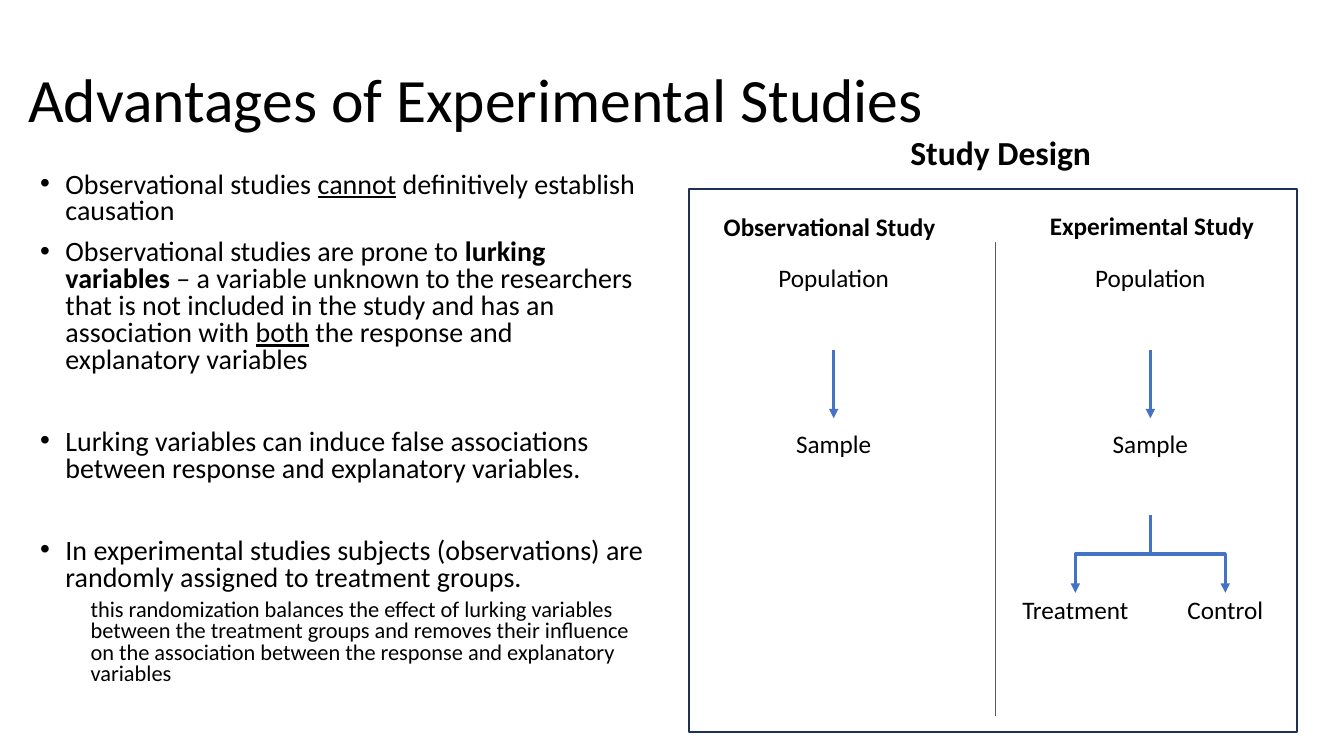
from dataclasses import dataclass

from lxml import etree
from pptx import Presentation
from pptx.dml.color import RGBColor
from pptx.enum.shapes import MSO_CONNECTOR, MSO_SHAPE
from pptx.enum.text import MSO_ANCHOR, MSO_AUTO_SIZE, PP_ALIGN
from pptx.oxml.ns import qn
from pptx.util import Cm, Pt

STRAIGHT, ELBOW = MSO_CONNECTOR.STRAIGHT, MSO_CONNECTOR.ELBOW
RECTANGLE = MSO_SHAPE.RECTANGLE
MIDDLE, NO_AUTOFIT = MSO_ANCHOR.MIDDLE, MSO_AUTO_SIZE.NONE
LEFT, CENTER = PP_ALIGN.LEFT, PP_ALIGN.CENTER


@dataclass(frozen=True)
class Theme:
    font: str = "Calibri"
    ink: RGBColor = RGBColor(0x00, 0x00, 0x00)
    accent: RGBColor = RGBColor(0x44, 0x72, 0xC4)
    divider: RGBColor = RGBColor(0x59, 0x59, 0x59)
    frame: RGBColor = RGBColor(0x1E, 0x32, 0x56)
    title: int = 44
    diagram_title: int = 24
    body: int = 20
    label: int = 18
    detail: int = 16


THEME = Theme()

# Content
TITLE = "Advantages of Experimental Studies"
PLAIN, BOLD, UNDERLINE = {}, {"bold": True}, {"underline": True}
# (level, space before in points, runs)
POINTS = [
    (0, 0, [("Observational studies ", PLAIN), ("cannot", UNDERLINE),
            (" definitively establish causation", PLAIN)]),
    (0, 10, [("Observational studies are prone to ", PLAIN), ("lurking variables", BOLD),
             (" – a variable unknown to the researchers that is not included in the study"
              " and has an association with ", PLAIN),
             ("both", UNDERLINE), (" the response and explanatory variables", PLAIN)]),
    (0, 39.5, [("Lurking variables can induce false associations between response and "
                "explanatory variables.", PLAIN)]),
    (0, 39.5, [("In experimental studies subjects (observations) are randomly assigned to "
                "treatment groups.", PLAIN)]),
    (1, 5, [("this randomization balances the effect of lurking variables between the "
             "treatment groups and removes their influence on the association between the "
             "response and explanatory variables", PLAIN)]),
]
DIAGRAM_TITLE = "Study Design"
# (heading, heading centre, heading top, column centre, groups), lengths in cm
STUDIES = [
    ("Observational Study", 20.91, 5.21, 21.01, []),
    ("Experimental Study", 29.03, 5.18, 28.99, ["Treatment", "Control"]),
]
STAGES = ["Population", "Sample"]

# Layout in cm
SLIDE = (33.87, 19.05)
TITLE_BOX = (0.46, 0.74, 29.21, 3.68)
BODY_BOX = (0.76, 4.22, 15.82, 14.45)
FRAME = (17.36, 4.77, 15.32, 13.67)
DIVIDER_X, DIVIDER_TOP, DIVIDER_BOTTOM = 25.08, 6.1, 18.03
HEADING_WIDTH, STAGE_WIDTH = 6.4, 3.33
STAGE_TOP, STAGE_STEP = 6.48, 4.19
ARROW_TOP, ARROW_LENGTH = 8.81, 1.73
FORK_TOP, FORK_HEIGHT, FORK_REACH = 12.98, 1.96, 1.89
INDENT = 0.635


def write(paragraph, text, size=THEME.label, bold=False, underline=False):
    run = paragraph.add_run()
    run.text = text
    font = run.font
    font.name, font.size, font.bold, font.underline = THEME.font, Pt(size), bold, underline
    font.color.rgb = THEME.ink


def place(shape, box):
    shape.left, shape.top, shape.width, shape.height = map(Cm, box)


def add_label(shapes, text, center, top, width, height=1.02, **style):
    label = shapes.add_textbox(*map(Cm, (center - width / 2, top, width, height)))
    label.text_frame.word_wrap = False
    paragraph = label.text_frame.paragraphs[0]
    paragraph.alignment = CENTER
    write(paragraph, text, **style)


def add_line(shapes, start, end, color=THEME.accent, weight=2.25, kind=STRAIGHT, arrow=True):
    line = shapes.add_connector(kind, *map(Cm, (*start, *end)))
    line.line.color.rgb = color
    line.line.width = Pt(weight)
    properties = line._element.spPr
    if arrow:
        etree.SubElement(properties.find(qn("a:ln")), qn("a:tailEnd"), type="triangle")
    etree.SubElement(properties, qn("a:effectLst"))
    return line


def add_branch(shapes, start, side):
    """Elbow arrow leaving downwards, then to one side (-1 left, 1 right), then down."""
    x, y = start
    branch = add_line(shapes, start, (x + FORK_REACH, y + FORK_HEIGHT), kind=ELBOW)
    middle_x, middle_y = x + side * FORK_REACH / 2, y + FORK_HEIGHT / 2
    # The box is laid on its side, so its width runs down the slide
    place(branch, (middle_x - FORK_HEIGHT / 2, middle_y - FORK_REACH / 2,
                   FORK_HEIGHT, FORK_REACH))
    transform = branch._element.spPr.find(qn("a:xfrm"))
    transform.set("rot", str((90 if side < 0 else 270) * 60000))
    if side > 0:
        transform.set("flipH", "1")


def fill_title(title):
    place(title, TITLE_BOX)
    frame = title.text_frame
    frame.vertical_anchor, frame.auto_size = MIDDLE, NO_AUTOFIT
    paragraph = frame.paragraphs[0]
    paragraph.alignment, paragraph.line_spacing = LEFT, 0.9
    write(paragraph, TITLE, size=THEME.title)


def fill_points(body):
    place(body, BODY_BOX)
    frame = body.text_frame
    frame.auto_size = NO_AUTOFIT
    for index, (level, space, runs) in enumerate(POINTS):
        paragraph = frame.add_paragraph() if index else frame.paragraphs[0]
        paragraph.level, paragraph.line_spacing = level, 0.8
        paragraph.space_before = Pt(space)
        properties = paragraph._p.get_or_add_pPr()
        properties.set("marL", str(Cm(INDENT * (level + 1))))
        properties.set("indent", str(0 if level else -Cm(INDENT)))
        if level:
            etree.SubElement(properties, qn("a:buNone"))
        else:
            etree.SubElement(properties, qn("a:buFont"), typeface="Arial")
            etree.SubElement(properties, qn("a:buChar"), char="•")
        for text, style in runs:
            write(paragraph, text, size=THEME.detail if level else THEME.body, **style)


def draw_study(shapes, heading, heading_center, heading_top, center, groups):
    add_label(shapes, heading, heading_center, heading_top, HEADING_WIDTH, bold=True)
    for row, stage in enumerate(STAGES):
        add_label(shapes, stage, center, STAGE_TOP + row * STAGE_STEP, STAGE_WIDTH)
    add_line(shapes, (center, ARROW_TOP), (center, ARROW_TOP + ARROW_LENGTH))
    for side, group in zip((-1, 1), groups):
        add_branch(shapes, (center, FORK_TOP), side)
        add_label(shapes, group, center + side * FORK_REACH,
                  STAGE_TOP + len(STAGES) * STAGE_STEP, STAGE_WIDTH)


def main():
    deck = Presentation()
    deck.slide_width, deck.slide_height = map(Cm, SLIDE)
    slide = deck.slides.add_slide(deck.slide_layouts[1])
    shapes = slide.shapes
    fill_title(shapes.title)
    fill_points(slide.placeholders[1])

    for study in STUDIES:
        draw_study(shapes, *study)
    add_line(shapes, (DIVIDER_X, DIVIDER_TOP), (DIVIDER_X, DIVIDER_BOTTOM),
             color=THEME.divider, weight=0.5, arrow=False)
    border = shapes.add_shape(RECTANGLE, *map(Cm, FRAME))
    border.shadow.inherit = False
    border.fill.background()
    border.line.color.rgb = THEME.frame
    border.line.width = Pt(1.5)
    add_label(shapes, DIAGRAM_TITLE, 25.22, 3.2, 5.5, height=1.27,
              size=THEME.diagram_title, bold=True)
    deck.save("out.pptx")


if __name__ == "__main__":
    main()
